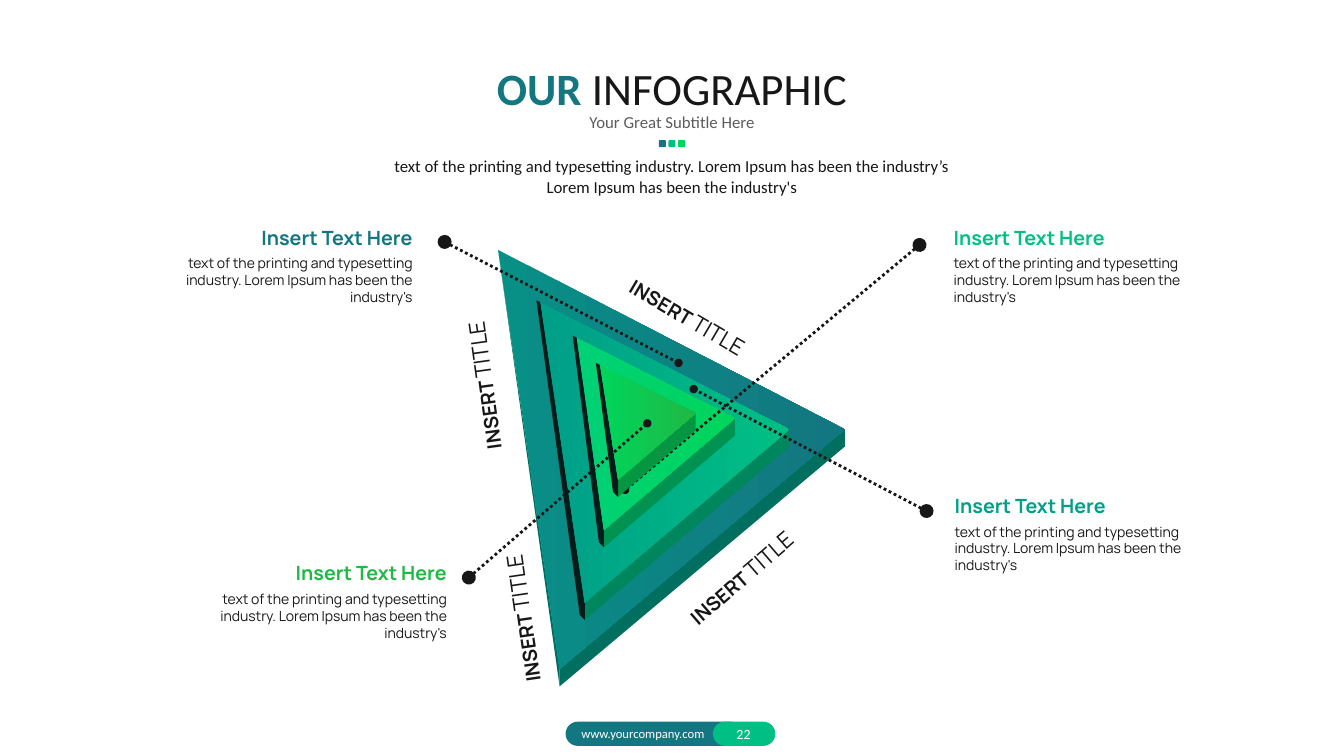
from lxml import etree
from pptx import Presentation
from pptx.dml.color import RGBColor
from pptx.enum.shapes import MSO_CONNECTOR, MSO_SHAPE
from pptx.enum.dml import MSO_LINE
from pptx.enum.text import MSO_ANCHOR, PP_ALIGN
from pptx.oxml.ns import qn
from pptx.util import Inches, Pt

LEFT, CENTER, RIGHT = PP_ALIGN.LEFT, PP_ALIGN.CENTER, PP_ALIGN.RIGHT
TOP, MIDDLE = MSO_ANCHOR.TOP, MSO_ANCHOR.MIDDLE
ROUNDED = MSO_SHAPE.ROUNDED_RECTANGLE
STRAIGHT = MSO_CONNECTOR.STRAIGHT
DOTTED = MSO_LINE.ROUND_DOT

INK = RGBColor(0x18, 0x17, 0x17)
GRAY = RGBColor(0x5D, 0x5C, 0x5C)
WHITE = RGBColor(0xFF, 0xFF, 0xFF)
SHADE = RGBColor(0x06, 0x1C, 0x1A)
BLUE = RGBColor(0x13, 0x77, 0x81)
TEAL = RGBColor(0x00, 0x9F, 0x88)
SEA = RGBColor(0x00, 0xBF, 0x84)
MINT = RGBColor(0x00, 0xD1, 0x77)
LIME = RGBColor(0x00, 0xD5, 0x5B)
GREEN = RGBColor(0x1F, 0xB9, 0x45)
TEAL_MID = RGBColor(0x08, 0x8F, 0x86)
TEAL_SIDE = RGBColor(0x00, 0x6F, 0x60)
SEA_SIDE = RGBColor(0x00, 0x86, 0x5D)
LIME_SIDE = RGBColor(0x00, 0x92, 0x50)
GREEN_SIDE = RGBColor(0x04, 0x96, 0x40)

HEADING_FONT, LABEL_FONT = "Calibri", "Manrope"
DEPTH = 0.17
CALLOUT_TEXT = ("text of the printing and typesetting industry. "
                "Lorem Ipsum has been the industry's")
INTRO_TEXT = ("text of the printing and typesetting industry. Lorem Ipsum has been "
              "the industry’s Lorem Ipsum has been the industry's")


def add_text(slide, box, runs, font, align=CENTER, anchor=TOP, wrap=True,
             turn=0, spacing=None):
    """Write one paragraph of (text, size, colour, bold) runs in a box."""
    area = slide.shapes.add_textbox(*map(Inches, box))
    area.rotation = turn
    frame = area.text_frame
    frame.word_wrap, frame.vertical_anchor = wrap, anchor
    paragraph = frame.paragraphs[0]
    paragraph.alignment = align
    if spacing:
        paragraph.line_spacing = spacing
    for text, size, color, bold in runs:
        run = paragraph.add_run()
        run.text = text
        run.font.name, run.font.size, run.font.bold = font, Pt(size), bold
        run.font.color.rgb = color


def add_pill(slide, box, color, roundness):
    """Draw a plain rounded rectangle."""
    pill = slide.shapes.add_shape(ROUNDED, *map(Inches, box))
    pill.adjustments[0] = roundness
    pill.shadow.inherit = False
    pill.fill.solid()
    pill.fill.fore_color.rgb = color
    pill.line.fill.background()


def add_polygon(slide, points, *colors):
    """Draw a closed outline with one colour or a gradient between two."""
    corners = [(Inches(x), Inches(y)) for x, y in points]
    builder = slide.shapes.build_freeform(*corners[0])
    builder.add_line_segments(corners[1:], close=True)
    polygon = builder.convert_to_shape()
    polygon.shadow.inherit = False
    polygon.line.fill.background()
    if len(colors) == 1:
        polygon.fill.solid()
        polygon.fill.fore_color.rgb = colors[0]
    else:
        polygon.fill.gradient()
        polygon.fill.gradient_angle = 0
        for stop, color in zip(polygon.fill.gradient_stops, colors):
            stop.color.rgb = color


def add_layer(slide, box, corners, colors, side, shaded=True):
    """Draw one raised triangle: its side, its left shade and its face."""
    top, right, bottom = [(box[0] + x, box[1] + y) for x, y in corners]
    low_right, low_bottom = [(x, y + DEPTH) for x, y in (right, bottom)]
    add_polygon(slide, [bottom, right, low_right, low_bottom], side)
    if shaded:
        shade = [top, bottom, low_bottom, (bottom[0] - 0.05, bottom[1] + 0.12),
                 (top[0] - 0.04, top[1] - 0.02)]
        add_polygon(slide, shade, SHADE)
    else:
        add_polygon(slide, [top, bottom, low_bottom], side)
    add_polygon(slide, [top, right, bottom], *colors)


def add_pointer(slide, box, outer, inner):
    """Draw a dotted pointer from a callout to a layer."""
    ends = [Inches(box[axis] + point[axis]) for point in (outer, inner) for axis in (0, 1)]
    pointer = slide.shapes.add_connector(STRAIGHT, *ends)
    pointer.line.color.rgb = INK
    pointer.line.width = Pt(2)
    pointer.line.dash_style = DOTTED
    line = pointer.line._get_or_add_ln()
    for end, size in (("a:headEnd", "lg"), ("a:tailEnd", "med")):
        etree.SubElement(line, qn(end), type="oval", w=size, len=size)
    etree.SubElement(pointer._element.spPr, qn("a:effectLst"))


def add_pyramid(slide, box):
    """Draw the nested triangles with their pointers and edge titles."""
    layers = [
        (((0, 0), (3.44, 1.78), (0.61, 4.16)), (TEAL_MID, BLUE), TEAL_SIDE, False),
        (((0.42, 0.52), (2.89, 1.78), (0.86, 3.5)), (TEAL, SEA), SEA_SIDE, True),
        (((0.78, 0.87), (2.35, 1.67), (1.05, 2.78)), (MINT, LIME), LIME_SIDE, True),
        (((1.01, 1.14), (1.96, 1.62), (1.19, 2.28)), (LIME, GREEN), GREEN_SIDE, True),
    ]
    pointers = [((4.18, -0.05), (1.26, 2.38)), ((4.25, 2.59), (1.94, 1.38)),
                ((-0.29, 3.25), (1.48, 1.72)), ((-0.53, -0.08), (1.79, 1.12))]
    titles = [(0.91, 0.36, 30.4), (-1.08, 1.03, 262.1),
              (-0.7, 3.34, 261.6), (1.46, 2.95, 319.2)]
    for layer in layers[:3]:
        add_layer(slide, box, *layer)
    for pointer in pointers[:2]:
        add_pointer(slide, box, *pointer)
    add_layer(slide, box, *layers[3])
    for pointer in pointers[2:]:
        add_pointer(slide, box, *pointer)
    for x, y, turn in titles:
        add_text(slide, (box[0] + x, box[1] + y, 1.92, 0.63),
                 [("INSERT ", 14, INK, True), ("TITLE", 16, INK, False)],
                 LABEL_FONT, anchor=MIDDLE, turn=turn, spacing=0.9)


def add_callout(slide, box, color, align):
    """Place a coloured heading over a short text."""
    left, top, width, height = box
    heading_width = 2.25
    shift = width - heading_width if align == RIGHT else 0
    add_text(slide, (left + shift, top, heading_width, 0.34),
             [("Insert Text Here", 14, color, True)], LABEL_FONT, align)
    add_text(slide, (left, top + 0.29, width, height - 0.29),
             [(CALLOUT_TEXT, 10, INK, False)], LABEL_FONT, align)


def add_header(slide, box):
    """Place the title, subtitle, colour marks and introduction."""
    left, top, width, _ = box
    add_text(slide, (left, top, width, 0.64),
             [("OUR ", 32, BLUE, True), ("INFOGRAPHIC", 32, INK, False)],
             HEADING_FONT, wrap=False)
    add_text(slide, (left, top + 0.51, width, 0.3),
             [("Your Great Subtitle Here", 12, GRAY, False)], HEADING_FONT, wrap=False)
    for column, color in enumerate((BLUE, SEA, LIME)):
        add_pill(slide, (left + width / 2 - 0.13 + column * 0.095, top + 0.84, 0.07, 0.07),
                 color, 0.17)
    add_text(slide, (left, top + 0.95, width, 0.5),
             [(INTRO_TEXT, 12, INK, False)], HEADING_FONT)


def add_footer(slide, box):
    """Place the web address and the page number on their pills."""
    left, top, width, height = box
    number_width = 0.62
    number_left = left + width - number_width
    add_pill(slide, (left, top, 1.76, height), BLUE, 0.5)
    add_pill(slide, (number_left, top, number_width, height), SEA, 0.5)
    add_text(slide, (left + 0.04, top - 0.01, 1.45, 0.25),
             [("www.yourcompany.com", 9, WHITE, False)], HEADING_FONT, wrap=False)
    add_text(slide, (number_left + 0.04, top - 0.08, 0.53, 0.4),
             [("22", 10, WHITE, False)], HEADING_FONT, anchor=MIDDLE)


def main():
    """Build the infographic slide and save it."""
    deck = Presentation()
    deck.slide_width, deck.slide_height = Inches(13.33), Inches(7.5)
    slide = deck.slides.add_slide(deck.slide_layouts[6])
    add_pyramid(slide, (4.94, 2.48, 3.44, 4.34))
    for left, top, color, align in ((1.63, 2.19, BLUE, RIGHT), (9.36, 2.19, SEA, LEFT),
                                    (1.97, 5.52, GREEN, RIGHT), (9.37, 4.85, TEAL, LEFT)):
        add_callout(slide, (left, top, 2.56, 0.9), color, align)
    add_header(slide, (3.64, 0.55, 6.05, 1.45))
    add_footer(slide, (5.61, 7.16, 2.08, 0.24))
    deck.save("out.pptx")


if __name__ == "__main__":
    main()
